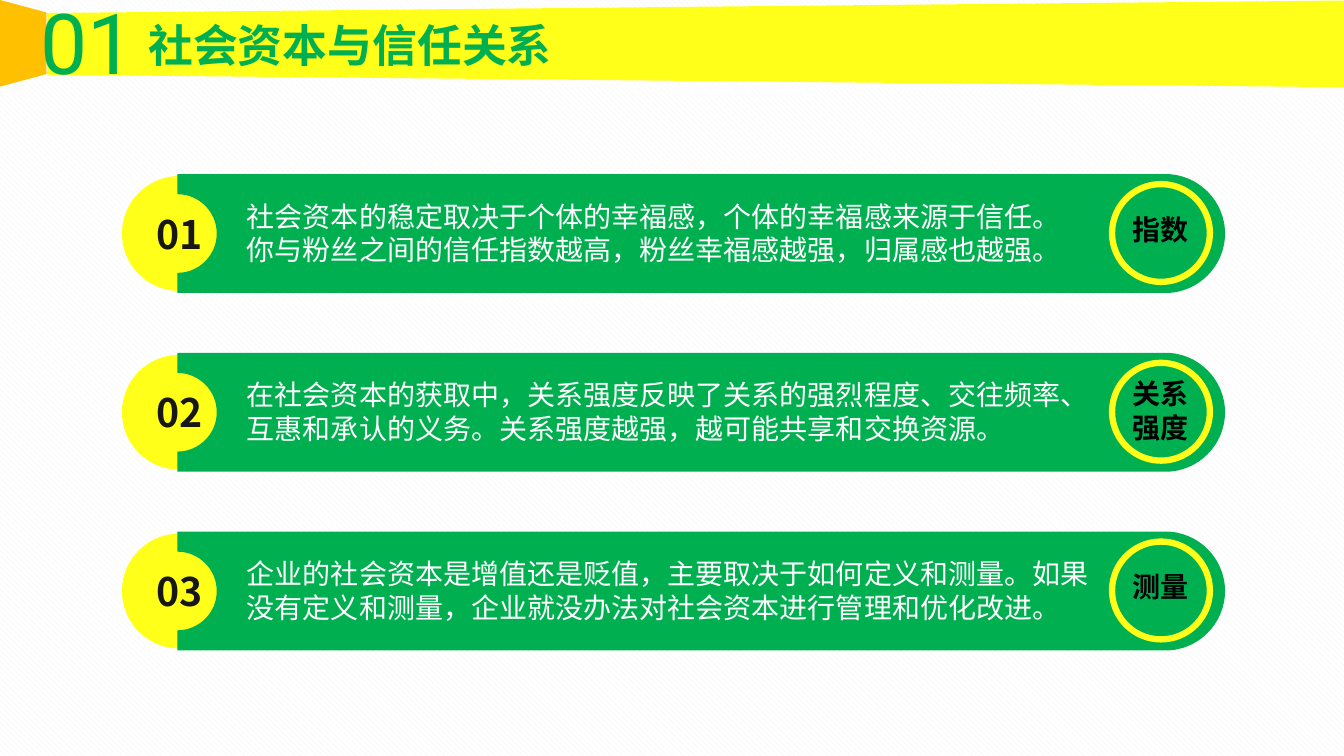
from lxml import etree
from pptx import Presentation
from pptx.dml.color import RGBColor
from pptx.enum.dml import MSO_PATTERN
from pptx.enum.shapes import MSO_SHAPE
from pptx.enum.text import MSO_ANCHOR, MSO_AUTO_SIZE, PP_ALIGN
from pptx.oxml.ns import qn
from pptx.util import Inches, Pt

TRAPEZOID, OVAL = MSO_SHAPE.TRAPEZOID, MSO_SHAPE.OVAL
LEFT, CENTER = PP_ALIGN.LEFT, PP_ALIGN.CENTER
TOP, MIDDLE = MSO_ANCHOR.TOP, MSO_ANCHOR.MIDDLE
NO_AUTOFIT = MSO_AUTO_SIZE.NONE
DIAGONAL = MSO_PATTERN.WIDE_DOWNWARD_DIAGONAL

YELLOW = RGBColor(0xFF, 0xFF, 0x19)
ORANGE = RGBColor(0xFF, 0xC0, 0x00)
GREEN = RGBColor(0x00, 0xB0, 0x50)
INK = RGBColor(0x18, 0x17, 0x17)
BLACK = RGBColor(0x00, 0x00, 0x00)
WHITE = RGBColor(0xFF, 0xFF, 0xFF)
PALE = RGBColor(0xF2, 0xF2, 0xF2)

HAN_FONT = "Noto Sans CJK SC"
SECTION = {"name": "Roboto", "size": Pt(60), "color": GREEN}
TITLE = {"name": HAN_FONT, "size": Pt(32), "bold": True, "color": GREEN}
NUMBER = {"name": HAN_FONT, "size": Pt(28), "bold": True, "color": INK}
BODY = {"name": HAN_FONT, "size": Pt(20), "color": WHITE}
LABEL = {"name": HAN_FONT, "size": Pt(20), "bold": True, "color": BLACK}

MIDDLE_ROW, ROW_PITCH = 3.5, 5.32 / 3
BAR_LEFT, BAR_END, BAR_RADIUS, NOTCH_RADIUS = 1.76, 11.56, 0.59, 0.39
ROUND = 0.55
LINE_HEIGHT = 1.2

ROWS = [
    (["社会资本的稳定取决于个体的幸福感，个体的幸福感来源于信任。",
      "你与粉丝之间的信任指数越高，粉丝幸福感越强，归属感也越强。"], "指数", 0.33, 0.44),
    (["在社会资本的获取中，关系强度反映了关系的强烈程度、交往频率、"
      "互惠和承认的义务。关系强度越强，越可能共享和交换资源。"], "关系强度", 0.19, 0.77),
    (["企业的社会资本是增值还是贬值，主要取决于如何定义和测量。如果"
      "没有定义和测量，企业就没办法对社会资本进行管理和优化改进。"], "测量", 0.33, 0.44),
]


def style_span(span, look):
    """Give a run its font values, for Latin and East Asian text alike."""
    for name, value in look.items():
        if name == "color":
            span.font.color.rgb = value
        else:
            setattr(span.font, name, value)
    latin = span.font._element.find(qn("a:latin"))
    latin.addnext(etree.Element(qn("a:ea"), typeface=look["name"]))


def write(shape, lines, look, align=LEFT, anchor=TOP):
    """Write formatted paragraphs into a shape."""
    frame = shape.text_frame
    settings = {"word_wrap": True, "auto_size": NO_AUTOFIT, "vertical_anchor": anchor}
    for name, value in settings.items():
        setattr(frame, name, value)
    for index, line in enumerate(lines):
        para = frame.add_paragraph() if index else frame.paragraphs[0]
        para.alignment = align
        para.line_spacing = Pt(look["size"].pt * LINE_HEIGHT)
        span = para.add_run()
        span.text = line
        style_span(span, look)


def add_text(page, place, lines, look, align=LEFT):
    """Add a text box."""
    box = page.shapes.add_textbox(*map(Inches, place))
    write(box, lines, look, align)


def paint(shape, fill=None, line=None):
    """Set fill and outline and drop the shadow."""
    shape.shadow.inherit = False
    if fill is None:
        shape.fill.background()
    else:
        shape.fill.solid()
        shape.fill.fore_color.rgb = fill
    if line is None:
        shape.line.fill.background()
    else:
        shape.line.color.rgb = line
        shape.line.width = Pt(4.5)


def add_figure(page, kind, place, fill=None, line=None):
    """Add a painted preset shape."""
    shape = page.shapes.add_shape(kind, *map(Inches, place))
    paint(shape, fill, line)
    return shape


def add_ribbon(page, place, rotation, slant, fill):
    """Add a turned trapezoid of the header."""
    ribbon = add_figure(page, TRAPEZOID, place, fill)
    ribbon.rotation = rotation
    ribbon.adjustments[0] = slant


def half_circle(x, middle, radius, turn):
    """List the curve points of a right half circle; turn 1 runs down, -1 up."""
    pull = radius * ROUND
    rise = turn * radius
    return [(x + pull, middle - rise), (x + radius, middle - turn * pull),
            (x + radius, middle),
            (x + radius, middle + turn * pull), (x + pull, middle + rise),
            (x, middle + rise)]


def bend(segments):
    """Turn each three line segments into one cubic curve."""
    for start in range(0, len(segments), 3):
        curve = etree.Element(qn("a:cubicBezTo"))
        segments[start].addprevious(curve)
        for segment in segments[start:start + 3]:
            curve.append(segment[0])
            segment.getparent().remove(segment)


def add_bar(page, top):
    """Add a bar with a round right end and a round notch on the left."""
    middle, bottom = top + BAR_RADIUS, top + 2 * BAR_RADIUS
    points = [(BAR_LEFT, top), (BAR_END, top)]
    points += half_circle(BAR_END, middle, BAR_RADIUS, 1)
    points += [(BAR_LEFT, bottom), (BAR_LEFT, middle + NOTCH_RADIUS)]
    points += half_circle(BAR_LEFT, middle, NOTCH_RADIUS, -1)
    outline = [(Inches(x), Inches(y)) for x, y in points]
    builder = page.shapes.build_freeform(*outline[0])
    builder.add_line_segments(outline[1:], close=True)
    bar = builder.convert_to_shape()
    segments = list(bar._element.iter(qn("a:lnTo")))
    bend(segments[1:7])
    bend(segments[9:15])
    paint(bar, GREEN)


def add_row(page, index, lines, label, label_offset, label_height):
    """Add a numbered bar with its text and ringed label."""
    top = MIDDLE_ROW + (index - 1) * ROW_PITCH
    disc = add_figure(page, OVAL, (1.21, top + 0.02, 1.14, 1.14), YELLOW)
    write(disc, [f"{index + 1:02}"], NUMBER, CENTER, MIDDLE)
    add_bar(page, top)
    add_text(page, (2.35, top + 0.2, 8.68, 0.77), lines, BODY)
    add_figure(page, OVAL, (11.03, top + 0.1, 0.97, 0.97), line=YELLOW)
    add_text(page, (11.03, top + label_offset, 0.97, label_height), [label], LABEL, CENTER)


def add_header(page):
    """Add the ribbons, the section number and the title."""
    add_ribbon(page, (6.47, -6, 0.86, 12.87), 270, 0.144, YELLOW)
    add_ribbon(page, (-0.2, 0.2, 0.86, 0.46), 90, 0.27, ORANGE)
    add_text(page, (0.26, -0.14, 1.22, 1.11), ["01"], SECTION, CENTER)
    title = page.shapes.title
    place = {"left": 1.37, "top": 0.13, "width": 5.21, "height": 0.64}
    for name, value in place.items():
        setattr(title, name, Inches(value))
    write(title, ["社会资本与信任关系"], TITLE)
    page.shapes._spTree.append(title._element)


def main():
    """Build the slide and save the deck."""
    deck = Presentation()
    deck.slide_width, deck.slide_height = Inches(13.33), Inches(7.5)
    page = deck.slides.add_slide(deck.slide_layouts[5])
    backdrop = page.background.fill
    backdrop.patterned()
    backdrop.pattern = DIAGONAL
    backdrop.fore_color.rgb = PALE
    backdrop.back_color.rgb = WHITE
    add_header(page)
    for index, row in enumerate(ROWS):
        add_row(page, index, *row)
    deck.save("out.pptx")


if __name__ == "__main__":
    main()
